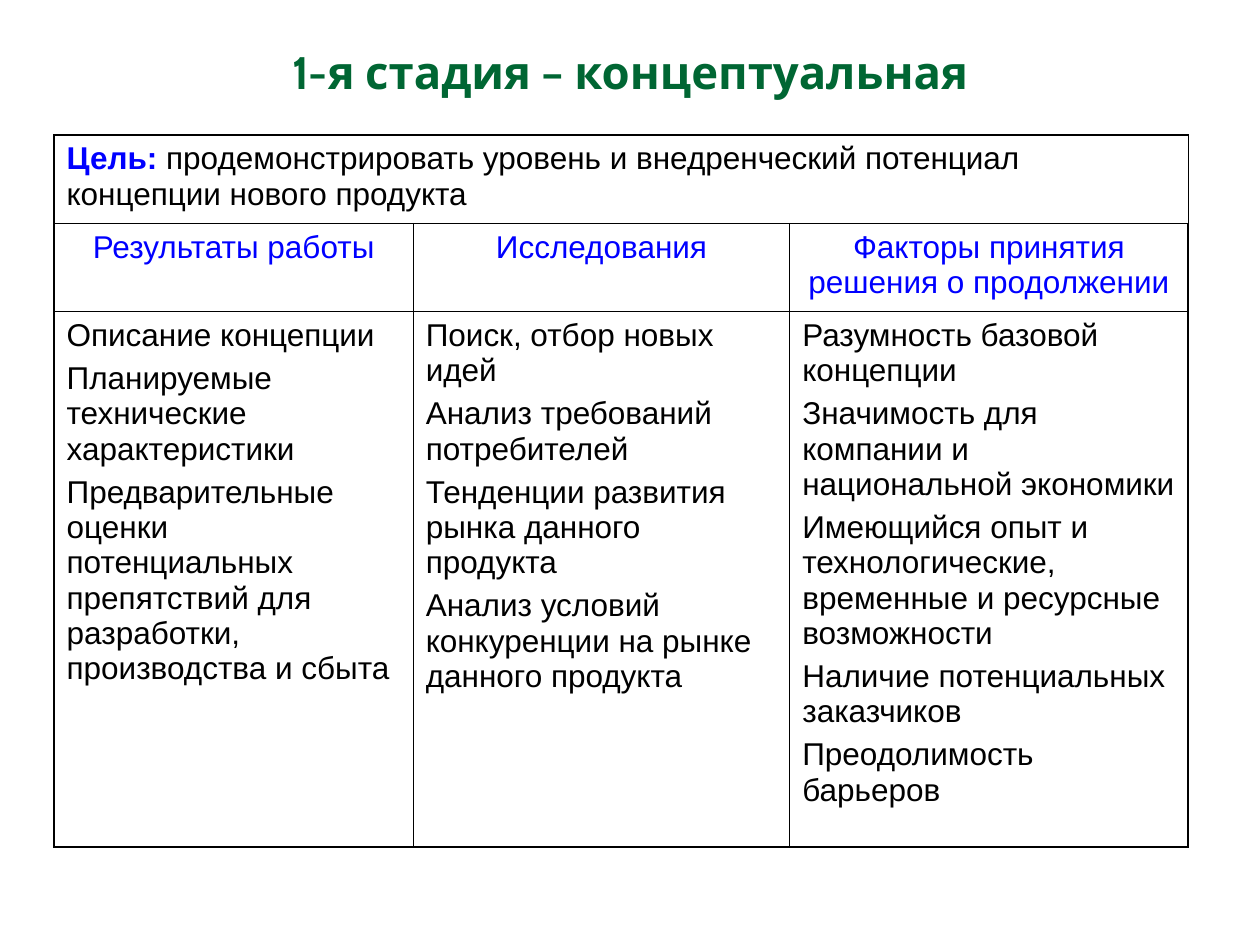
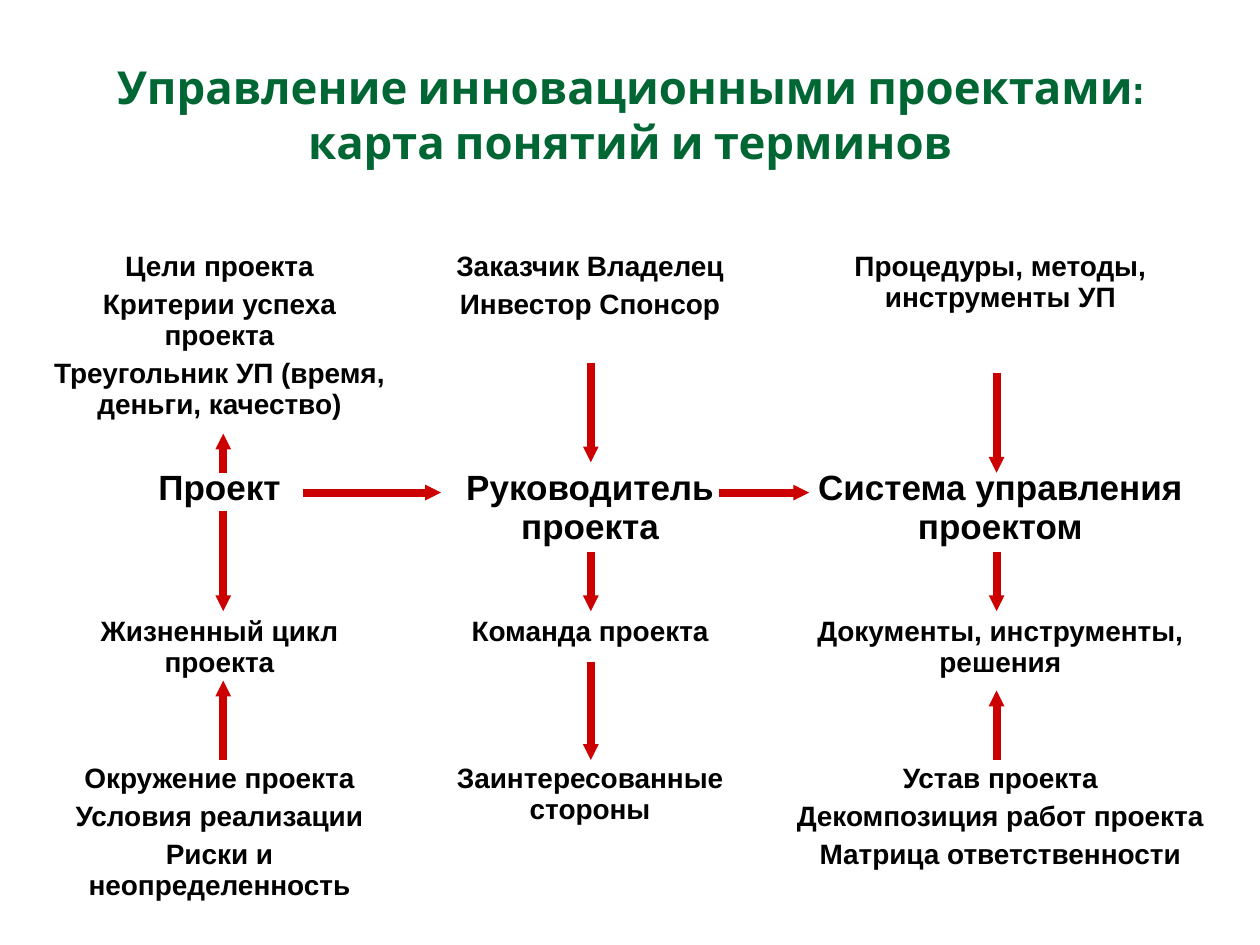
"""Build two slides: the concept stage table and the project management term map."""
from dataclasses import dataclass

from lxml.etree import SubElement
from pptx import Presentation
from pptx.dml.color import RGBColor
from pptx.enum.shapes import MSO_CONNECTOR as Connector
from pptx.enum.text import MSO_ANCHOR as Anchor, PP_ALIGN as Align
from pptx.oxml.ns import qn
from pptx.slide import Slide
from pptx.table import Table, _Cell as Cell
from pptx.util import Cm, Pt

COLORS = {"title": "006633", "accent": "0000FF", "text": "000000", "arrow": "CC0000"}
BODY_FONT = "Arial"
TITLE_FONT = "Cabin"
NO_STYLE_NO_GRID = "{2D5ABB26-0587-4C30-8999-92F81FD0307C}"
OUTER_BORDER, INNER_BORDER = 1.08, 0.45


@dataclass(frozen=True)
class TextStyle:
    size: float
    color: str = "text"
    bold: bool = False
    align: Align = Align.CENTER
    font: str = BODY_FONT
    space_before: float = 0


@dataclass(frozen=True)
class Title:
    text: str
    top: float
    anchor: Anchor


@dataclass(frozen=True)
class Grid:
    left: float
    top: float
    columns: tuple[float, ...]
    rows: tuple[float, ...]


@dataclass(frozen=True)
class Arrow:
    start: tuple[float, float]
    end: tuple[float, float]


TITLE_STYLE = TextStyle(26, "title", True, font=TITLE_FONT)
STAGE_HEADING = TextStyle(18, "accent")
STAGE_BODY = TextStyle(18, align=Align.LEFT, space_before=4.5)
CONCEPT = TextStyle(20, bold=True)
TERM = TextStyle(16, bold=True, space_before=4)

STAGE_TITLE = Title("1-я стадия – концептуальная", 0.76, Anchor.TOP)
STAGE_GRID = Grid(1.09, 2.72, (7.24, 7.59, 8.03), (1.78, 1.78, 10.8))
GOAL_LABEL = "Цель:"
GOAL = " продемонстрировать уровень и внедренческий потенциал концепции нового продукта"
STAGE_COLUMNS = {
    "Результаты работы": [
        "Описание концепции",
        "Планируемые технические характеристики",
        "Предварительные оценки потенциальных препятствий для разработки, "
        "производства и сбыта",
    ],
    "Исследования": [
        "Поиск, отбор новых идей",
        "Анализ требований потребителей",
        "Тенденции развития рынка данного продукта",
        "Анализ условий конкуренции на рынке данного продукта",
    ],
    "Факторы принятия решения о продолжении": [
        "Разумность базовой концепции",
        "Значимость для компании и национальной экономики",
        "Имеющийся опыт и технологические, временные и ресурсные возможности",
        "Наличие потенциальных заказчиков",
        "Преодолимость барьеров",
    ],
}

MAP_TITLE = Title(
    "Управление инновационными проектами: карта понятий и терминов", 0.71, Anchor.MIDDLE
)
MAP_GRID = Grid(0.69, 4.93, (7.47, 7.47, 9.07), (4.39, 2.97, 2.97, 3.76))
MAP_ROWS = [
    (TERM, [
        ["Цели проекта", "Критерии успеха проекта",
         "Треугольник УП (время, деньги, качество)"],
        ["Заказчик Владелец", "Инвестор Спонсор"],
        ["Процедуры, методы, инструменты УП"],
    ]),
    (CONCEPT, [["Проект"], ["Руководитель проекта"], ["Система управления проектом"]]),
    (TERM, [
        ["Жизненный цикл проекта"],
        ["Команда проекта"],
        ["Документы, инструменты, решения"],
    ]),
    (TERM, [
        ["Окружение проекта", "Условия реализации", "Риски и неопределенность"],
        ["Заинтересованные стороны"],
        ["Устав проекта", "Декомпозиция работ проекта", "Матрица ответственности"],
    ]),
]
PROJECT_X, MANAGER_X, SYSTEM_X = 4.5, 11.91, 20.09
CONCEPT_Y, LIFECYCLE_Y, CONTEXT_Y = 9.93, 12.32, 15.32
VERTICAL_LINKS = {
    PROJECT_X: [(9.53, 8.74), (10.31, LIFECYCLE_Y), (CONTEXT_Y, 13.72)],
    MANAGER_X: [(7.32, 9.32), (11.13, LIFECYCLE_Y), (13.34, CONTEXT_Y)],
    SYSTEM_X: [(7.52, 9.53), (11.13, LIFECYCLE_Y), (CONTEXT_Y, 13.92)],
}
HORIZONTAL_LINKS = [(6.1, 8.89), (14.5, 16.31)]
ARROWS = [
    Arrow((x, start), (x, end))
    for x, links in VERTICAL_LINKS.items()
    for start, end in links
] + [Arrow((start, CONCEPT_Y), (end, CONCEPT_Y)) for start, end in HORIZONTAL_LINKS]


def rgb(color: str) -> RGBColor:
    return RGBColor.from_string(COLORS[color])


def write(frame, texts: list[str], style: TextStyle) -> None:
    for index, text in enumerate(texts):
        paragraph = frame.add_paragraph() if index else frame.paragraphs[0]
        paragraph.text = text
        paragraph.alignment = style.align
        paragraph.space_before = Pt(style.space_before if index else 0)
        paragraph.font.name = style.font
        paragraph.font.size = Pt(style.size)
        paragraph.font.bold = style.bold
        paragraph.font.color.rgb = rgb(style.color)


def add_title(slide: Slide, title: Title) -> None:
    box = slide.shapes.add_textbox(Cm(1.28), Cm(title.top), Cm(22.86), Cm(3.18))
    box.text_frame.word_wrap = True
    box.text_frame.vertical_anchor = title.anchor
    write(box.text_frame, [title.text], TITLE_STYLE)


def add_grid(slide: Slide, grid: Grid) -> Table:
    frame = slide.shapes.add_table(
        len(grid.rows), len(grid.columns), Cm(grid.left), Cm(grid.top),
        Cm(sum(grid.columns)), Cm(sum(grid.rows)),
    )
    table = frame.table
    table.first_row = table.horz_banding = False
    frame.element.xpath(".//a:tableStyleId")[0].text = NO_STYLE_NO_GRID
    for column, width in zip(table.columns, grid.columns):
        column.width = Cm(width)
    for row, height in zip(table.rows, grid.rows):
        row.height = Cm(height)
    for cell in table.iter_cells():
        cell.fill.background()
    return table


def add_borders(cell: Cell, widths: dict[str, float]) -> None:
    properties = cell._tc.get_or_add_tcPr()
    for position, (side, width) in enumerate(widths.items()):
        border = properties.makeelement(qn(f"a:ln{side}"), {"w": str(Pt(width))})
        fill = SubElement(border, qn("a:solidFill"))
        SubElement(fill, qn("a:srgbClr"), val=COLORS["text"])
        properties.insert(position, border)


def frame_table(table: Table) -> None:
    last_row, last_column = len(table.rows) - 1, len(table.columns) - 1
    for y, row in enumerate(table.rows):
        for x, cell in enumerate(row.cells):
            outer = {"L": x == 0, "R": x == last_column, "T": y == 0, "B": y == last_row}
            add_borders(cell, {
                side: OUTER_BORDER if is_outer else INNER_BORDER
                for side, is_outer in outer.items()
            })


def add_arrow(slide: Slide, arrow: Arrow) -> None:
    ends = [Cm(value) for value in (*arrow.start, *arrow.end)]
    link = slide.shapes.add_connector(Connector.STRAIGHT, *ends)
    link.line.color.rgb = rgb("arrow")
    link.line.width = Pt(4.5)
    SubElement(link.line._get_or_add_ln(), qn("a:tailEnd"), type="triangle", w="sm", len="sm")
    SubElement(link.element.spPr, qn("a:effectLst"))


def build_stage(slide: Slide) -> None:
    add_title(slide, STAGE_TITLE)
    table = add_grid(slide, STAGE_GRID)
    frame_table(table)
    goal_cell = table.cell(0, 0)
    goal_cell.merge(table.cell(0, len(STAGE_GRID.columns) - 1))
    write(goal_cell.text_frame, [GOAL_LABEL], STAGE_BODY)
    goal = goal_cell.text_frame.paragraphs[0]
    goal.runs[0].font.bold = True
    goal.runs[0].font.color.rgb = rgb("accent")
    goal.add_run().text = GOAL
    for x, (heading, items) in enumerate(STAGE_COLUMNS.items()):
        write(table.cell(1, x).text_frame, [heading], STAGE_HEADING)
        write(table.cell(2, x).text_frame, items, STAGE_BODY)


def build_map(slide: Slide) -> None:
    table = add_grid(slide, MAP_GRID)
    for row, (style, groups) in zip(table.rows, MAP_ROWS):
        for cell, terms in zip(row.cells, groups):
            write(cell.text_frame, terms, style)
    for arrow in ARROWS:
        add_arrow(slide, arrow)
    add_title(slide, MAP_TITLE)


def main() -> None:
    deck = Presentation()
    deck.slide_width, deck.slide_height = Cm(25.4), Cm(19.05)
    blank = deck.slide_layouts[6]
    for build in (build_stage, build_map):
        build(deck.slides.add_slide(blank))
    deck.save("out.pptx")


if __name__ == "__main__":
    main()
